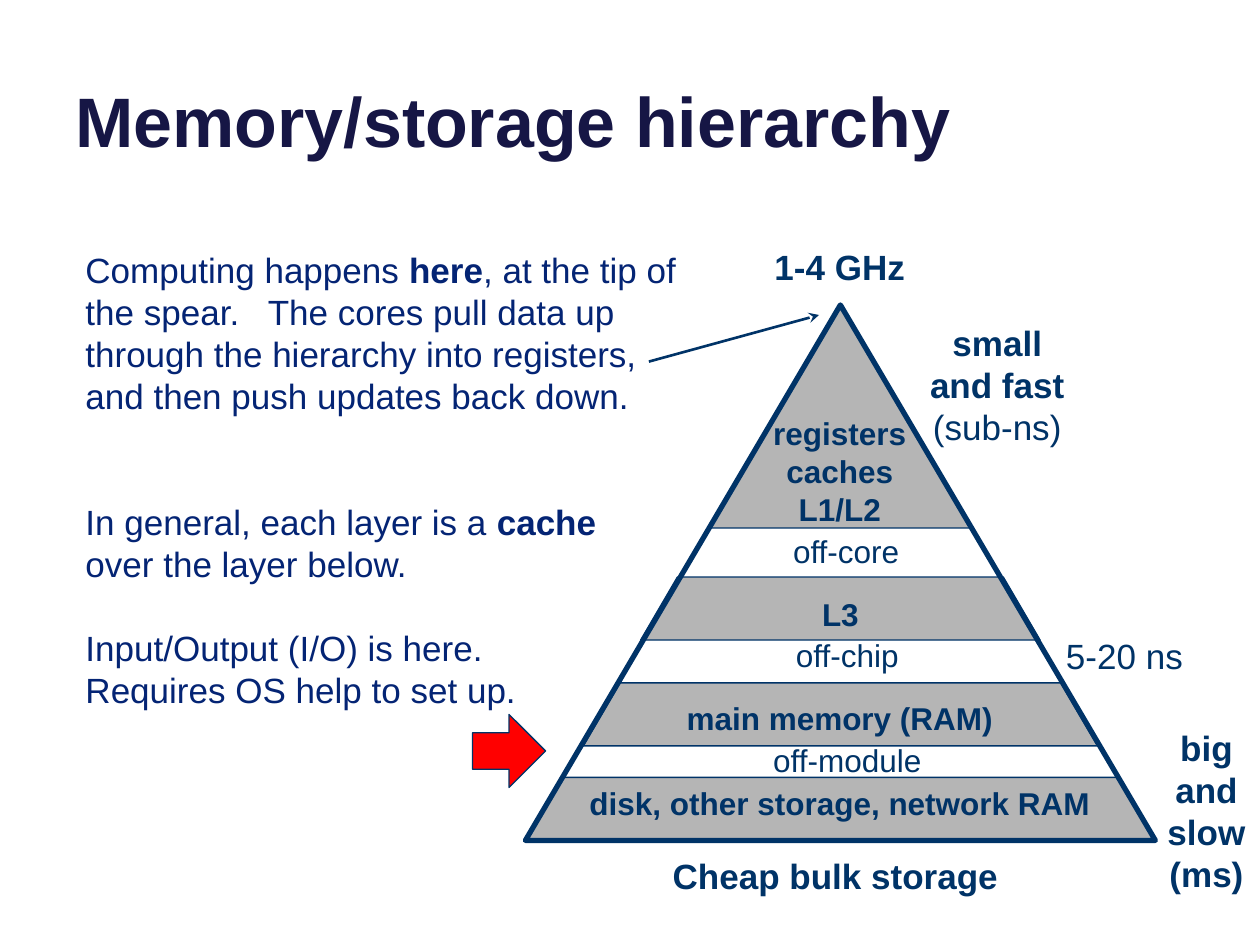
import pptx
import pptx.util
import pptx.dml.color
import pptx.enum.shapes
import pptx.enum.text
import pptx.oxml
import pptx.oxml.ns
from pptx.util import Inches

THEME = {
    "font": "Arial", "ink": "003367", "body": "042474", "title": "161645",
    "band": "B5B5B5", "mark": "FF0000",
    "head": 40, "note": 20, "label": 18,
    "thin": 0.75, "mid": 1.5, "thick": 3,
}
SHAPE = pptx.enum.shapes.MSO_SHAPE
ALIGN = pptx.enum.text.PP_ALIGN
ANCHOR = pptx.enum.text.MSO_ANCHOR
FIT = pptx.enum.text.MSO_AUTO_SIZE

TITLE = "Memory/storage hierarchy"
MID = 6.67                    # centre line of the pyramid
TOP, WIDTH, HEIGHT = 2.42, 5, 4.25
TIP = (2.08, 1.77)            # width, height
BANDS = [(4.58, 3.17), (5.42, 4.08), (6.17, 5)]  # top, bottom width
DEEP, SLANT = 0.5, 0.583

# Paragraphs are lists of (text, bold) runs.
# Layer names: left, top, width, height, wrap, paragraphs
LAYERS = [
    (6.03, 3.24, 1.27, 1.01, False,
     [[("registers", True)], [("caches", True)], [("L1/L2", True)]]),
    (6.42, 4.67, 0.5, 0.4, False, [[("L3", True)]]),
    (5.33, 5.5, 2.67, 0.4, True, [[("main memory (RAM)", True)]]),
    (4.5, 6.17, 4.33, 0.4, True, [[("disk, other storage, network RAM", True)]]),
    (6.19, 4.17, 1.05, 0.4, False, [[("off-core", False)]]),
    (6.21, 5, 1.03, 0.4, False, [[("off-chip", False)]]),
    (6.03, 5.83, 1.39, 0.4, False, [[("off-module", False)]]),
]
# Speeds and sizes around the pyramid: left, top, width, height, paragraphs
TRAITS = [
    (7.25, 2.5, 1.33, 1.11, [[("small and fast", True)], [("(sub-ns)", False)]]),
    (9.15, 5.72, 0.85, 1.44, [[("big and slow", True)], [("(ms)", True)]]),
    (4.92, 6.73, 3.42, 0.44, [[("Cheap bulk storage", True)]]),
    (6, 1.9, 1.33, 0.44, [[("1-4 GHz", True)]]),
    (8.26, 4.99, 1.33, 0.44, [[("5-20 ns", False)]]),
]
# Remarks on the left: top, width, height, paragraphs
NOTES = [
    (1.92, 5, 1.78, [[
        ("Computing happens ", False), ("here", True),
        (", at the tip of the spear.   The cores pull data up through the "
         "hierarchy into registers, and then push updates back down.", False)]]),
    (3.92, 4.72, 0.77, [[
        ("In general, each layer is a ", False), ("cache", True),
        (" over the layer below.", False)]]),
    (4.92, 3.88, 0.77, [[
        ("Input/Output (I/O) is here.  Requires OS help to set up.", False)]]),
]


def color(name):
    return pptx.dml.color.RGBColor.from_string(THEME[name])


def write(frame, paras, size="note", ink="ink", align=ALIGN.CENTER, wrap=True):
    frame.word_wrap = wrap
    for i, runs in enumerate(paras):
        para = frame.add_paragraph() if i else frame.paragraphs[0]
        para.alignment = align
        for text, bold in runs:
            run = para.add_run()
            run.text = text
            font = run.font
            font.name, font.size = THEME["font"], pptx.util.Pt(THEME[size])
            font.bold, font.color.rgb = bold, color(ink)


def label(slide, box, paras, **form):
    frame = slide.shapes.add_textbox(*map(Inches, box)).text_frame
    write(frame, paras, **form)
    frame.auto_size = FIT.SHAPE_TO_FIT_TEXT


def draw(slide, kind, box, fill=None, line="thin"):
    shape = slide.shapes.add_shape(kind, *map(Inches, box))
    shape.shadow.inherit = False
    if fill:
        shape.fill.solid()
        shape.fill.fore_color.rgb = color(fill)
    else:
        shape.fill.background()
    shape.line.color.rgb = color("ink")
    shape.line.width = pptx.util.Pt(THEME[line])
    return shape


def point(slide, tip, end):
    """Line from end to tip, with an arrowhead at the tip."""
    line = slide.shapes.add_connector(
        pptx.enum.shapes.MSO_CONNECTOR.STRAIGHT, *map(Inches, tip + end))
    line.line.color.rgb = color("ink")
    line.line.width = pptx.util.Pt(THEME["mid"])
    space = pptx.oxml.ns.nsdecls("a")
    line.line._get_or_add_ln().append(
        pptx.oxml.parse_xml(f'<a:headEnd {space} type="stealth"/>'))
    line._element.spPr.append(pptx.oxml.parse_xml(f"<a:effectLst {space}/>"))


def pyramid(slide):
    wide, high = TIP
    draw(slide, SHAPE.ISOSCELES_TRIANGLE, (MID - wide / 2, TOP, wide, high), "band")
    for top, wide in BANDS:
        band = draw(slide, SHAPE.TRAPEZOID, (MID - wide / 2, top, wide, DEEP), "band")
        band.adjustments[0] = SLANT
    draw(slide, SHAPE.ISOSCELES_TRIANGLE,
         (MID - WIDTH / 2, TOP, WIDTH, HEIGHT), line="thick")
    for *box, wrap, paras in LAYERS:
        label(slide, box, paras, size="label", wrap=wrap)


def main():
    deck = pptx.Presentation()
    deck.slide_width, deck.slide_height = Inches(10), Inches(7.5)
    slide = deck.slides.add_slide(deck.slide_layouts[5])

    title = slide.shapes.title
    title.left, title.top = Inches(0.5), Inches(-0.37)
    title.width, title.height = Inches(9), Inches(1.7)
    title.text_frame.vertical_anchor = ANCHOR.BOTTOM
    title.text_frame.auto_size = FIT.NONE
    write(title.text_frame, [[(TITLE, True)]],
          size="head", ink="title", align=ALIGN.LEFT)

    pyramid(slide)
    for *box, paras in TRAITS:
        label(slide, box, paras)
    for *box, paras in NOTES:
        label(slide, (0.58, *box), paras, ink="body", align=ALIGN.LEFT)
    draw(slide, SHAPE.RIGHT_ARROW, (3.75, 5.67, 0.58, 0.58), "mark")
    point(slide, (6.5, 2.5), (5.15, 2.87))
    deck.save("out.pptx")


if __name__ == "__main__":
    main()
